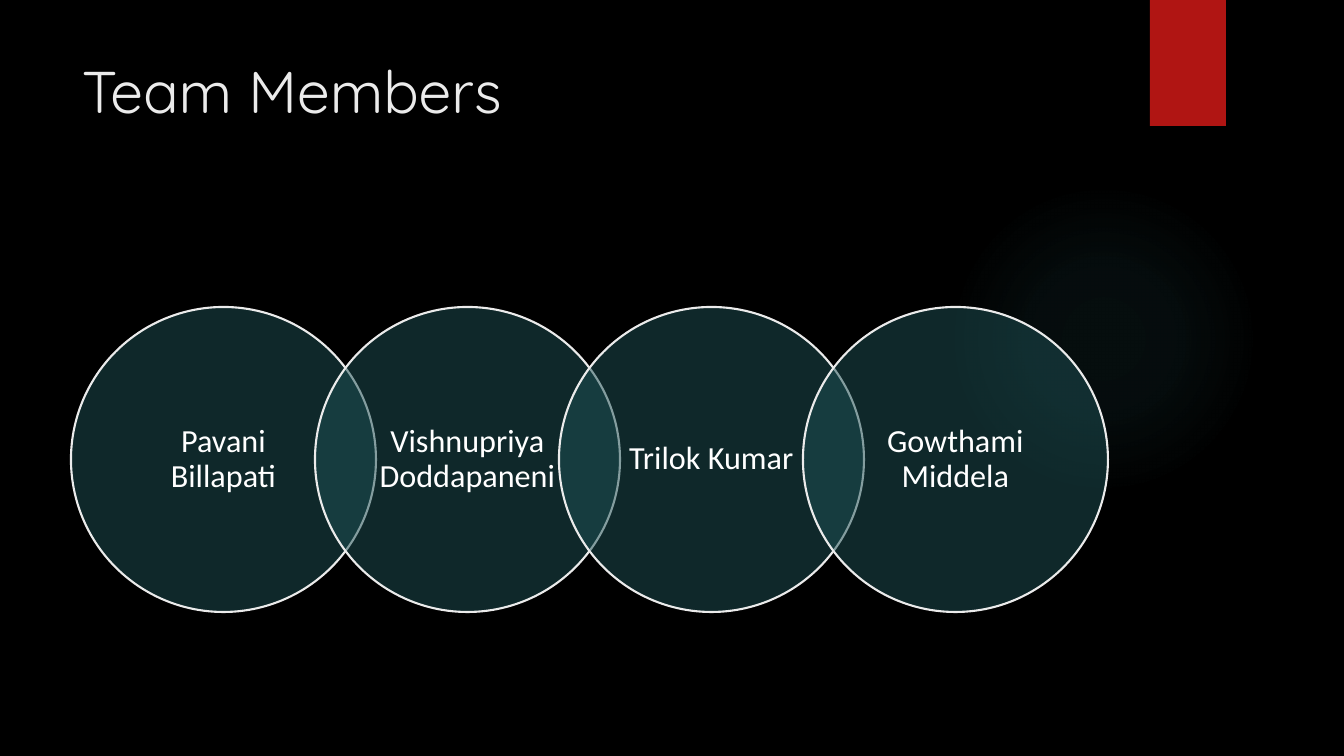
from dataclasses import dataclass

from pptx import Presentation
from pptx.dml.color import RGBColor
from pptx.enum.shapes import MSO_SHAPE
from pptx.enum.text import MSO_ANCHOR, MSO_AUTO_SIZE, PP_ALIGN
from pptx.oxml import parse_xml
from pptx.oxml.ns import nsdecls, qn
from pptx.oxml.xmlchemy import OxmlElement
from pptx.util import Emu, Pt

EMU_PER_PX = 914400 / 100.8


@dataclass(frozen=True)
class Theme:
    background: str = "000000"
    accent: str = "B01513"
    glow: str = "50B9C1"
    circle: str = "1E5155"
    light: str = "EBEBEB"
    name_color: str = "FFFFFF"
    title_font: str = "Quicksand"
    name_font: str = "Calibri"
    title_size: int = 42
    name_size: int = 23
    outline: float = 1.5


def px(length):
    return Emu(round(length * EMU_PER_PX))


def rgb(color):
    return RGBColor.from_string(color)


def write(frame, text, *, font, size, color, align, anchor, insets, spacing=1.0):
    frame.word_wrap = True
    frame.auto_size = MSO_AUTO_SIZE.NONE
    frame.vertical_anchor = anchor
    frame.margin_left = frame.margin_right = px(insets[0])
    frame.margin_top = frame.margin_bottom = px(insets[1])
    para = frame.paragraphs[0]
    para.alignment = align
    para.line_spacing = spacing
    span = para.add_run()
    span.text = text
    span.font.name = font
    span.font.size = Pt(size)
    span.font.bold = False
    span.font.color.rgb = rgb(color)


class SlideBuilder:
    def __init__(self, page, theme):
        self.page = page
        self.theme = theme
        page.background.fill.solid()
        page.background.fill.fore_color.rgb = rgb(theme.background)

    def shape(self, kind, left, top, width, height, color=None):
        shape = self.page.shapes.add_shape(
            kind, px(left), px(top), px(width), px(height))
        shape.shadow.inherit = False
        shape.line.fill.background()
        if color:
            shape.fill.solid()
            shape.fill.fore_color.rgb = rgb(color)
        return shape

    def title(self, text, left, top, width, height):
        title = self.page.shapes.title
        title.left, title.top = px(left), px(top)
        title.width, title.height = px(width), px(height)
        write(title.text_frame, text, font=self.theme.title_font,
              size=self.theme.title_size, color=self.theme.light,
              align=PP_ALIGN.LEFT, anchor=MSO_ANCHOR.TOP, insets=(10, 5))

    def glow(self, left, top, diameter, stops):
        """Draw a soft round light; stops are (position, opacity) in percent."""
        glow = self.shape(MSO_SHAPE.OVAL, left, top, diameter, diameter)
        stop_xml = "".join(
            f'<a:gs pos="{position * 1000}"><a:srgbClr val="{self.theme.glow}">'
            f'<a:alpha val="{opacity * 1000}"/></a:srgbClr></a:gs>'
            for position, opacity in stops)
        gradient = parse_xml(
            f'<a:gradFill {nsdecls("a")}><a:gsLst>{stop_xml}</a:gsLst>'
            '<a:path path="circle"><a:fillToRect l="50000" t="50000" '
            'r="50000" b="50000"/></a:path></a:gradFill>')
        glow.element.spPr.find(qn("a:prstGeom")).addnext(gradient)

    def member(self, name, left, top, diameter):
        theme = self.theme
        circle = self.shape(MSO_SHAPE.OVAL, left, top, diameter, diameter, theme.circle)
        alpha = OxmlElement("a:alpha")
        alpha.set("val", "50000")
        circle.element.spPr.find(qn("a:solidFill"))[0].append(alpha)
        circle.line.color.rgb = rgb(theme.light)
        circle.line.width = Pt(theme.outline)
        write(circle.text_frame, name, font=theme.name_font, size=theme.name_size,
              color=theme.name_color, align=PP_ALIGN.CENTER,
              anchor=MSO_ANCHOR.MIDDLE, insets=(17, 3), spacing=0.9)


def main():
    deck = Presentation()
    deck.slide_width, deck.slide_height = px(1344), px(756)
    page = deck.slides.add_slide(deck.slide_layouts[5])
    builder = SlideBuilder(page, Theme())

    builder.glow(949, 184, 310, [(0, 7), (36, 6), (69, 0)])
    builder.shape(MSO_SHAPE.RECTANGLE, 1150, 0, 76, 126, builder.theme.accent)
    builder.title("Team Members", 72, 50, 1037, 154)

    members = ["Pavani Billapati", "Vishnupriya Doddapaneni",
               "Trilok Kumar", "Gowthami Middela"]
    first_left, step = 71, 244
    for index, name in enumerate(members):
        builder.member(name, first_left + index * step, 307, 305)

    deck.save("out.pptx")


if __name__ == "__main__":
    main()
